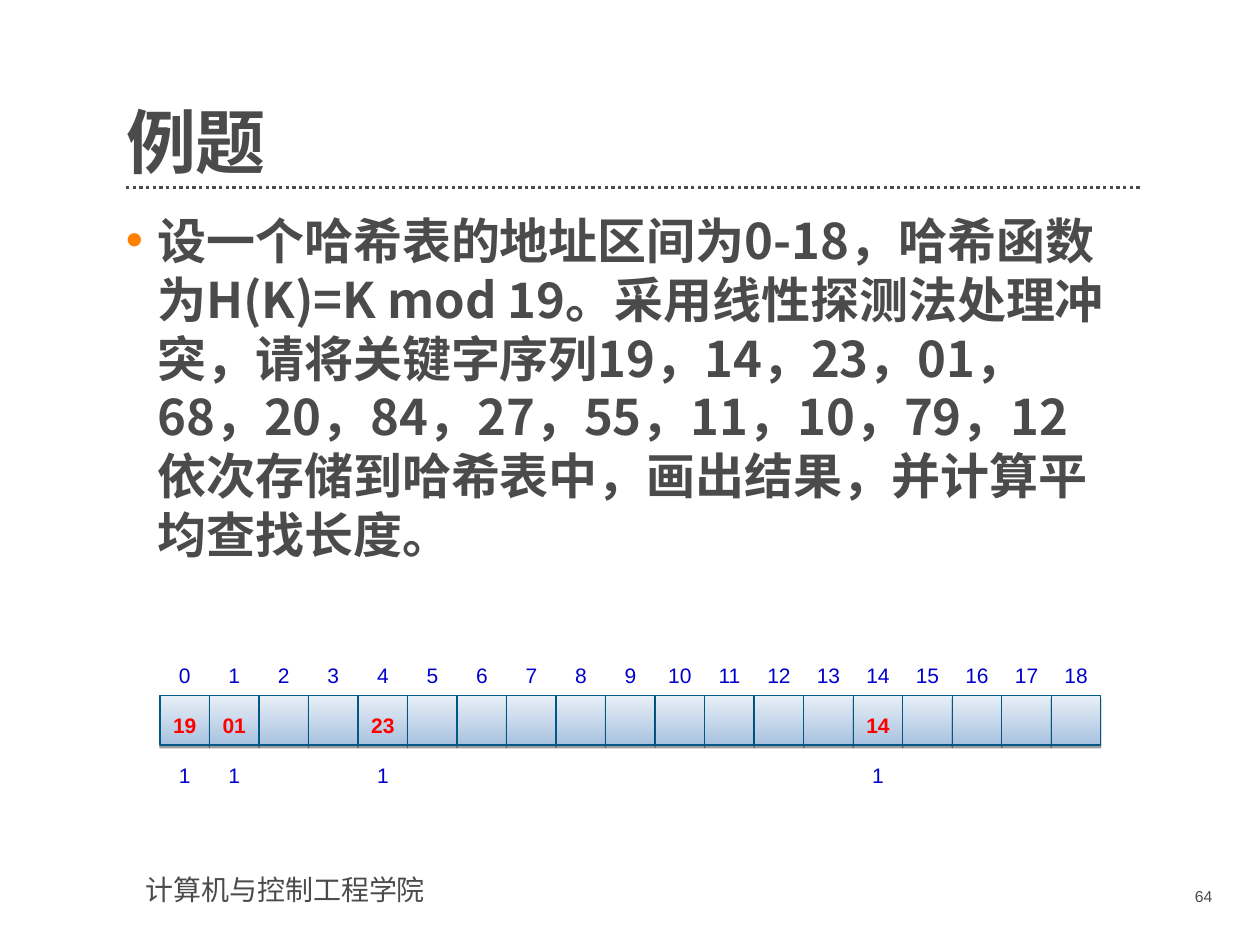
from dataclasses import dataclass

from lxml import etree
from pptx import Presentation
from pptx.dml.color import RGBColor
from pptx.enum.dml import MSO_LINE
from pptx.enum.shapes import MSO_CONNECTOR, MSO_SHAPE
from pptx.enum.text import MSO_ANCHOR, PP_ALIGN
from pptx.oxml.ns import qn
from pptx.util import Inches, Pt

LEFT, CENTER, RIGHT = PP_ALIGN.LEFT, PP_ALIGN.CENTER, PP_ALIGN.RIGHT
TOP, BOTTOM = MSO_ANCHOR.TOP, MSO_ANCHOR.BOTTOM
RECT, STRAIGHT, DOTTED = MSO_SHAPE.RECTANGLE, MSO_CONNECTOR.STRAIGHT, MSO_LINE.ROUND_DOT


@dataclass(frozen=True)
class Theme:
    latin: str = "Arial"
    cjk: str = "Noto Sans CJK SC"
    ink: str = "4B4B4B"
    bullet: str = "FF8000"
    index: str = "0000CC"
    key: str = "FF0000"
    border: str = "005984"
    cell_low: str = "A9C2E0"
    cell_high: str = "E8EFF7"
    shadow: str = "000000"
    title_size: int = 40
    body_size: int = 28
    footer_size: int = 16
    cell_size: int = 12
    number_size: int = 9


class SlideBuilder:
    """Places elements on a grid of 100 columns by 75 rows."""
    COLS, ROWS = 100, 75

    def __init__(self, prs, theme):
        self.theme = theme
        self.col = prs.slide_width / self.COLS
        self.row = prs.slide_height / self.ROWS
        self.s = prs.slides.add_slide(prs.slide_layouts[5])

    def box(self, x, y, w, h):
        return (round(x * self.col), round(y * self.row),
                round(w * self.col), round(h * self.row))

    def fill_text(self, sp, text, size, color, font, bold=False, align=LEFT,
                  anchor=TOP, inset=(0.1, 0.05, 0.1, 0.05), wrap=True):
        tf = sp.text_frame
        tf.word_wrap = wrap
        tf.vertical_anchor = anchor
        (tf.margin_left, tf.margin_top,
         tf.margin_right, tf.margin_bottom) = map(Inches, inset)
        p = tf.paragraphs[0]
        p.alignment = align
        r = p.add_run()
        r.text = text
        r.font.size, r.font.bold, r.font.name = Pt(size), bold, font
        r.font.color.rgb = RGBColor.from_string(color)
        ea = etree.SubElement(r._r.get_or_add_rPr(), qn("a:ea"))
        ea.set("typeface", self.theme.cjk)
        return p

    def title(self, text, *place):
        t, sp = self.theme, self.s.shapes.title
        sp.left, sp.top, sp.width, sp.height = self.box(*place)
        p = self.fill_text(sp, text, t.title_size, t.ink, t.cjk, bold=True,
                           anchor=BOTTOM, inset=(0, 0, 0, 0))
        p.line_spacing = 0.9

    def text(self, text, *place, size, color, font=None, **style):
        sp = self.s.shapes.add_textbox(*self.box(*place))
        return self.fill_text(sp, text, size, color, font or self.theme.latin, **style)

    def bullet(self, text, *place):
        t = self.theme
        p = self.text(text, *place, size=t.body_size, color=t.ink, font=t.cjk,
                      bold=True, inset=(0, 0, 0.2, 0))
        p.space_before = Pt(17.5)
        pPr = p._p.get_or_add_pPr()
        pPr.set("marL", str(Inches(0.25)))
        pPr.set("indent", str(-Inches(0.25)))
        clr = etree.SubElement(pPr, qn("a:buClr"))
        etree.SubElement(clr, qn("a:srgbClr")).set("val", t.bullet)
        etree.SubElement(pPr, qn("a:buFont")).set("typeface", t.latin)
        etree.SubElement(pPr, qn("a:buChar")).set("char", "•")

    def rule(self, x, y, w):
        left, top, width, _ = self.box(x, y, w, 0)
        c = self.s.shapes.add_connector(STRAIGHT, left, top, left + width, top)
        c.line.color.rgb = RGBColor.from_string(self.theme.ink)
        c.line.width = Pt(1.9)
        c.line.dash_style = DOTTED
        etree.SubElement(c._element.spPr, qn("a:effectLst"))

    def cell(self, *place):
        t = self.theme
        sp = self.s.shapes.add_shape(RECT, *self.box(*place))
        sp.fill.gradient()
        sp.fill.gradient_angle = 90
        for stop, color in zip(sp.fill.gradient_stops, (t.cell_low, t.cell_high)):
            stop.color.rgb = RGBColor.from_string(color)
        sp.line.color.rgb = RGBColor.from_string(t.border)
        sp.line.width = Pt(0.75)
        # Hard drop shadow straight below the cell
        sp.shadow.inherit = False
        effects = sp._element.spPr.find(qn("a:effectLst"))
        shadow = etree.SubElement(effects, qn("a:outerShdw"), blurRad="0",
                                  dist=str(Pt(1.6)), dir="5400000", rotWithShape="0")
        clr = etree.SubElement(shadow, qn("a:srgbClr"), val=t.shadow)
        etree.SubElement(clr, qn("a:alpha"), val="38000")

    def hash_table(self, x, y, pitch, slots, keys, probes):
        t = self.theme

        def label(slot, text, top, color, bold=False):
            self.text(text, x + slot * pitch, top, pitch, 3, size=t.cell_size,
                      color=color, bold=bold, align=CENTER, wrap=False)

        for slot in range(slots):
            self.cell(x + slot * pitch, y, pitch, pitch)
        for slot in range(slots):
            label(slot, str(slot), y - 3.1, t.index)
        for slot, key in keys.items():
            label(slot, key, y + 0.9, t.key, bold=True)
        for slot, count in probes.items():
            label(slot, str(count), y + 4.8, t.index)


def main():
    prs = Presentation()
    prs.slide_width, prs.slide_height = Inches(10), Inches(7.5)
    t = Theme()
    b = SlideBuilder(prs, t)

    # Heading and footer
    b.rule(10, 14.9, 80.6)
    b.text("计算机与控制工程学院", 10.6, 68.8, 25.6, 3.7,
           size=t.footer_size, color=t.ink, wrap=False)
    b.title("例题", 10, 5.5, 80.6, 9.1)

    # Exercise
    b.bullet("设一个哈希表的地址区间为0-18，哈希函数为H(K)=K mod 19。"
             "采用线性探测法处理冲突，请将关键字序列"
             "19，14，23，01，68，20，84，27，55，11，10，79，12"
             "依次存储到哈希表中，画出结果，并计算平均查找长度。",
             10, 16.7, 80.6, 50)
    b.text("64", 87.3, 69.9, 9.9, 2.9, size=t.number_size, color=t.ink, align=RIGHT)

    # Hash table with the first keys stored and their probe counts
    keys = {0: "19", 14: "14", 4: "23", 1: "01"}
    b.hash_table(12.7, 55.2, 3.93, 19, keys, dict.fromkeys(keys, 1))

    prs.save("out.pptx")


if __name__ == "__main__":
    main()
